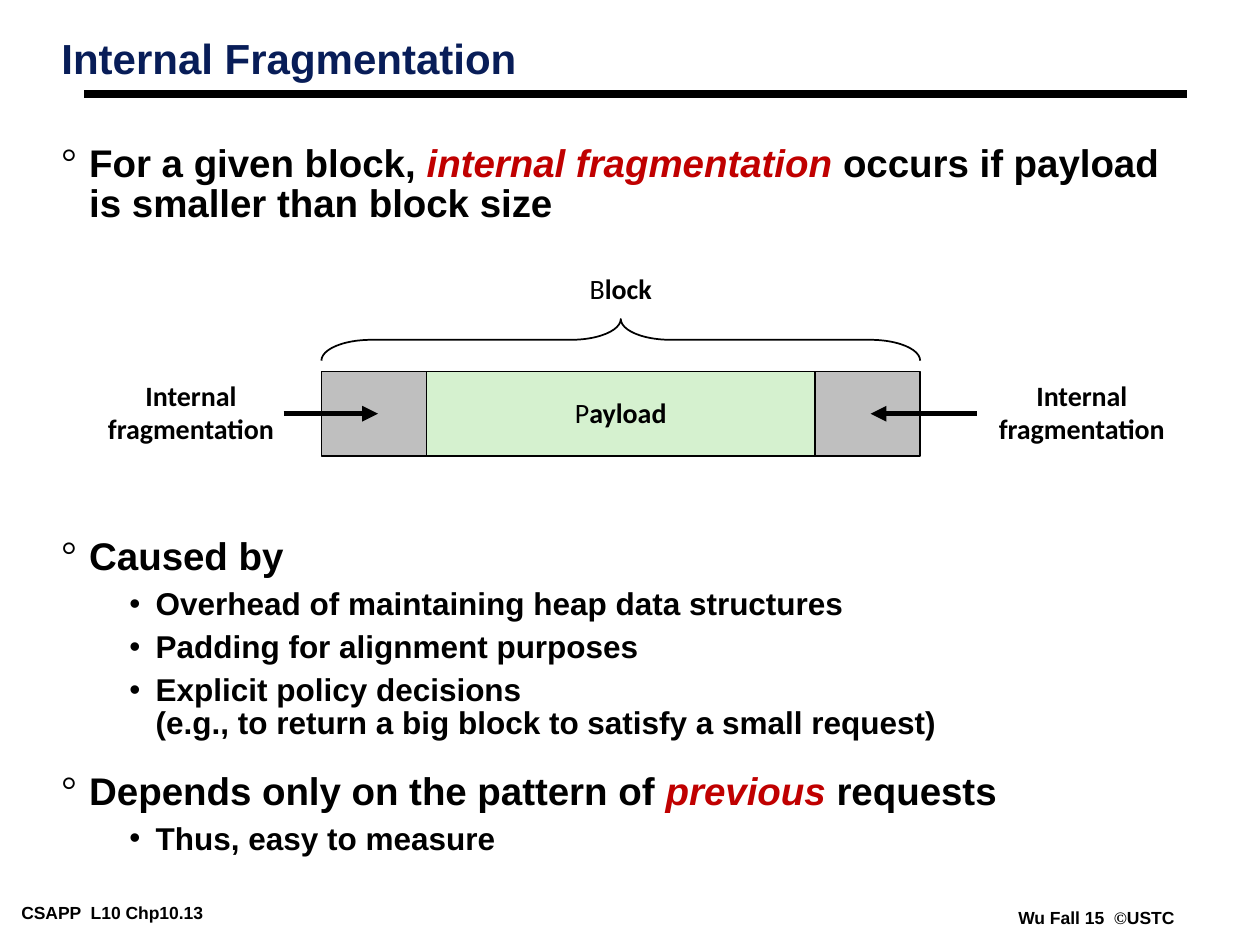
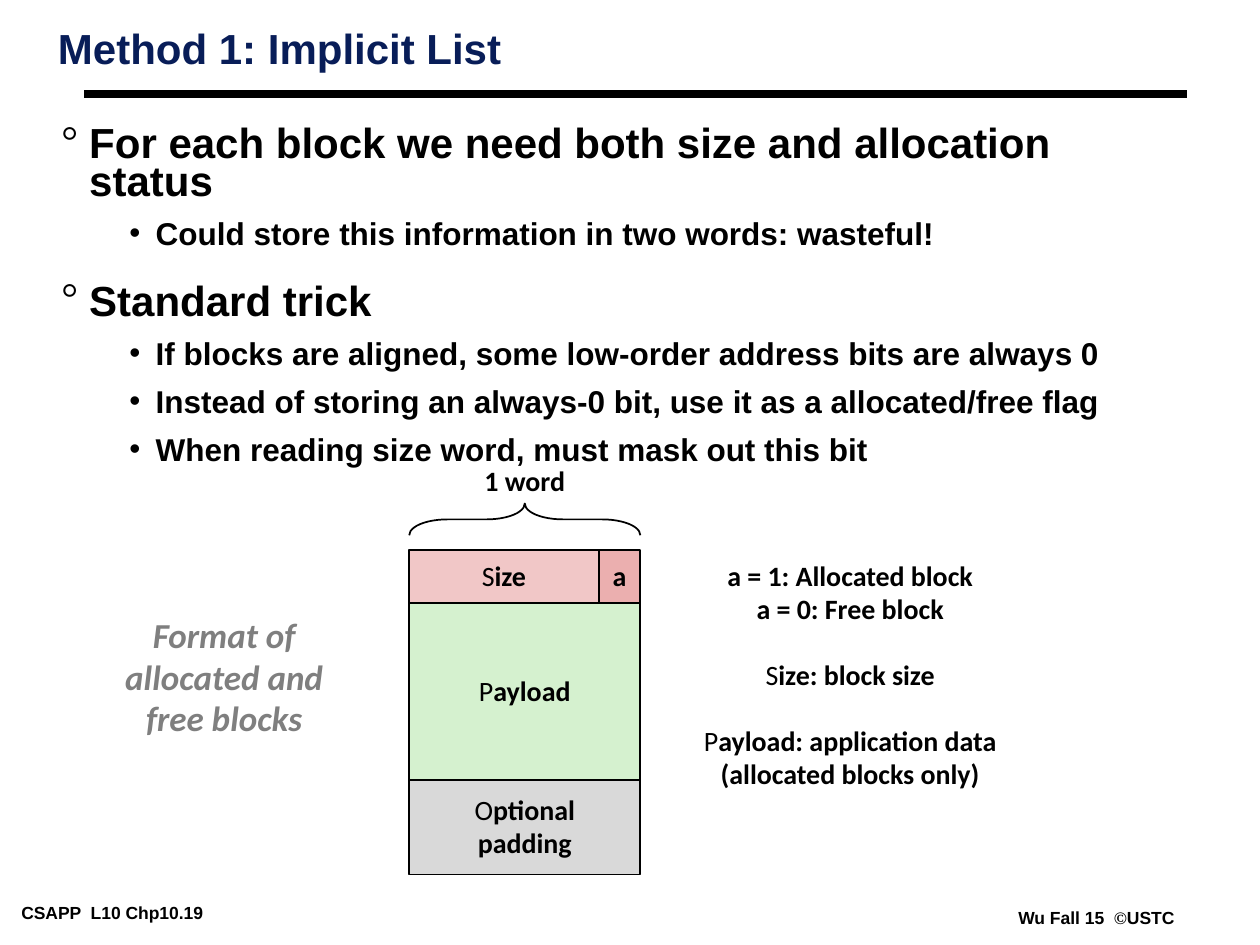
import pptx
import pptx.util
import pptx.dml.color
import pptx.enum.shapes
import pptx.enum.text
import pptx.oxml.ns
from lxml import etree

Cm, Pt = pptx.util.Cm, pptx.util.Pt
RGBColor = pptx.dml.color.RGBColor
SHAPE = pptx.enum.shapes.MSO_SHAPE
ANCHOR = pptx.enum.text.MSO_ANCHOR
ALIGN = pptx.enum.text.PP_ALIGN
qn = pptx.oxml.ns.qn

BLACK = RGBColor(0, 0, 0)
NAVY = RGBColor(0x08, 0x1D, 0x58)
RED = RGBColor(0xC0, 0, 0)
GRAY_TEXT = RGBColor(0x7F, 0x7F, 0x7F)
GREEN = RGBColor(0xD5, 0xF1, 0xCF)
GRAY = RGBColor(0xBF, 0xBF, 0xBF)
LIGHT_GRAY = RGBColor(0xD9, 0xD9, 0xD9)
PINK = RGBColor(0xF1, 0xC7, 0xC7)
ROSE = RGBColor(0xEB, 0xAF, 0xAF)

HEADING, BODY, LABEL = "Arial", "Arial", "Calibri"
SYMBOL = "Times New Roman"
BULLETS = {0: ("°", SYMBOL, 0.56, 0.56), 1: ("•", BODY, 1.9, 0.53)}


def emphasize(font):
    font.italic = True
    font.color.rgb = RED


def lighten(font):
    font.bold = False


def use_symbol_font(font):
    font.name = SYMBOL


def write(p, markup, name, size, color=BLACK, accent=None, italic=None):
    accented = []
    if "*" in markup:
        for i, part in enumerate(markup.split("*")):
            if part:
                r = p.add_run()
                r.text = part
                if i % 2:
                    accented.append(r)
    else:
        p.text = markup
    for r in p.runs:
        r.font.name = name
        r.font.size = Pt(size)
        r.font.bold = True
        r.font.italic = italic
        r.font.color.rgb = color
    for r in accented:
        accent(r.font)


def add_box(s, x, y, w, h, inset=(0.18, 0.08), wrap=True):
    tf = s.shapes.add_textbox(Cm(x), Cm(y), Cm(w), Cm(h)).text_frame
    tf.word_wrap = wrap
    tf.margin_left = tf.margin_right = Cm(inset[0])
    tf.margin_top = tf.margin_bottom = Cm(inset[1])
    return tf


def write_centered(tf, lines, size=16, color=BLACK, italic=None):
    for i, line in enumerate(lines):
        p = tf.paragraphs[0] if i == 0 else tf.add_paragraph()
        markup, gap = line if isinstance(line, tuple) else (line, 0)
        p.alignment = ALIGN.CENTER
        p.line_spacing = 0.98
        if gap:
            p.space_before = Pt(gap)
        write(p, markup, LABEL, size, color, lighten, italic)


def add_label(s, center, y, w, h, lines, **style):
    tf = add_box(s, center - w / 2, y, w, h, (0.25, 0.13), False)
    write_centered(tf, lines, **style)


def add_cell(s, x, y, w, h, fill, lines=()):
    sp = s.shapes.add_shape(SHAPE.RECTANGLE, Cm(x), Cm(y), Cm(w), Cm(h))
    sp.shadow.inherit = False
    sp.fill.solid()
    sp.fill.fore_color.rgb = fill
    sp.line.color.rgb = BLACK
    sp.line.width = Pt(1)
    tf = sp.text_frame
    tf.word_wrap = False
    tf.vertical_anchor = ANCHOR.MIDDLE
    write_centered(tf, lines)


def add_brace(s, x, y, w, h):
    left, top = x + (w - h) / 2, y - (w - h) / 2
    sp = s.shapes.add_shape(SHAPE.RIGHT_BRACE, Cm(left), Cm(top), Cm(h), Cm(w))
    sp.rotation = 270
    sp.adjustments[0] = 1.2
    sp.shadow.inherit = False
    sp.fill.background()
    sp.line.color.rgb = BLACK
    sp.line.width = Pt(1)


def add_line(s, x1, x2, y, width, arrow=False):
    c = s.shapes.add_connector(
        pptx.enum.shapes.MSO_CONNECTOR.STRAIGHT, Cm(x1), Cm(y), Cm(x2), Cm(y))
    c.line.color.rgb = BLACK
    c.line.width = Pt(width)
    spPr = c.element.spPr
    if arrow:
        etree.SubElement(spPr.find(qn("a:ln")), qn("a:tailEnd"), type="triangle")
    etree.SubElement(spPr, qn("a:effectLst"))


def add_frame(s, title, x, y, number):
    add_line(s, 1.7, 23.93, 1.9, 4.5)
    p = add_box(s, x, y, 18.5, 1.6).paragraphs[0]
    p.line_spacing = 0.87
    write(p, title, HEADING, 24, NAVY)
    footers = [(0.25, 18.1, 5.33, f"CSAPP  L10 Chp10.{number}"),
               (20.35, 18.21, 4.5, "Wu Fall 15  *©*USTC")]
    for left, top, w, text in footers:
        p = add_box(s, left, top, w, 0.56).paragraphs[0]
        write(p, text, BODY, 10, accent=use_symbol_font)


def add_bullet(p, level):
    char, typeface, margin, hang = BULLETS[level]
    pPr = p._p.get_or_add_pPr()
    pPr.set("marL", str(Cm(margin)))
    pPr.set("indent", str(-Cm(hang)))
    clr = etree.SubElement(pPr, qn("a:buClr"))
    etree.SubElement(clr, qn("a:srgbClr"), val=str(BLACK))
    etree.SubElement(pPr, qn("a:buFont"), typeface=typeface)
    etree.SubElement(pPr, qn("a:buChar"), char=char)


def add_body(s, x, y, w, h, items, sizes, spacings, gaps):
    tf = add_box(s, x, y, w, h)
    for i, (level, markup, *gap) in enumerate(items):
        p = tf.paragraphs[0] if i == 0 else tf.add_paragraph()
        add_bullet(p, level)
        p.level = level
        p.line_spacing = spacings[level]
        if i:
            p.space_before = Pt(gap[0] if gap else gaps[level])
        write(p, markup, BODY, sizes[level], accent=emphasize)


def add_block_diagram(s, x, y, w, h):
    pad = 2.12
    center = x + w / 2
    add_cell(s, x, y, pad, h, GRAY)
    add_cell(s, x + w - pad, y, pad, h, GRAY)
    add_cell(s, x + pad, y, w - 2 * pad, h, GREEN, ["*P*ayload"])
    add_brace(s, x, y - 1.06, w, 0.84)
    add_label(s, center, y - 2.11, 2.6, 0.91, ["*B*lock"])
    sides = [(x - 2.63, x - 0.76, x + 1.14),
             (x + w + 3.26, x + w + 1.14, x + w - 1)]
    for label_center, start, tip in sides:
        add_label(s, label_center, y + 0.05, 4.2, 1.57,
                  ["Internal", "fragmentation"])
        add_line(s, start, tip, y + h / 2, 3, True)


def add_format_diagram(s, x, y, w):
    flag = 0.84
    header, payload, padding = 1.07, 3.57, 1.9
    add_brace(s, x, y - 0.94, w, 0.64)
    add_label(s, x + w / 2, y - 1.85, 2.6, 0.91, ["1 word"])
    add_cell(s, x, y, w - flag, header, PINK, ["*S*ize"])
    add_cell(s, x + w - flag, y, flag, header, ROSE, ["a"])
    add_cell(s, x, y + header, w, payload, GREEN, ["*P*ayload"])
    add_cell(s, x, y + header + payload, w, padding, LIGHT_GRAY,
             ["*O*ptional", "padding"])
    add_label(s, x - 3.73, y + 1.2, 5, 2.74,
              ["Format of", "allocated and", "free blocks"],
              size=20, color=GRAY_TEXT, italic=True)
    add_label(s, x + w + 4.23, y + 0.07, 6.8, 5.56,
              ["a = 1: Allocated block", "a = 0: Free block",
               ("*S*ize: block size", 19),
               ("*P*ayload: application data", 19),
               "(allocated blocks only)"])


def add_fragmentation_slide(prs):
    s = prs.slides.add_slide(prs.slide_layouts[6])
    add_frame(s, "Internal Fragmentation", 1.06, 0.71, 13)
    items = [
        (0, "For a given block, *internal fragmentation *occurs if payload "
            "is smaller than block size"),
        (0, "Caused by", 178.5),
        (1, "Overhead of maintaining heap data structures"),
        (1, "Padding for alignment purposes"),
        (1, "Explicit policy decisions\v"
            "(e.g., to return a big block to satisfy a small request)"),
        (0, "Depends only on the pattern of *previous* requests", 18),
        (1, "Thus, easy to measure"),
    ]
    add_body(s, 1.06, 2.84, 23.09, 15, items, (22, 18), (0.88, 0.88), (5.6, 5.6))
    add_block_diagram(s, 6.48, 7.49, 12.07, 1.7)


def add_implicit_list_slide(prs):
    s = prs.slides.add_slide(prs.slide_layouts[6])
    add_frame(s, "Method 1: Implicit List", 0.99, 0.52, 19)
    items = [
        (0, "For each block we need both size and allocation status"),
        (1, "Could store this information in two words: wasteful!"),
        (0, "Standard trick"),
        (1, "If blocks are aligned, some low-order address bits are always 0"),
        (1, "Instead of storing an always-0 bit, use it as a allocated/free flag"),
        (1, "When reading size word, must mask out this bit"),
    ]
    add_body(s, 1.06, 2.51, 22.94, 7, items, (24, 18), (0.75, 0.85), (19.5, 9))
    add_format_diagram(s, 8.25, 11.09, 4.66)


def main():
    prs = pptx.Presentation()
    prs.slide_width, prs.slide_height = Cm(25.4), Cm(19.05)
    add_fragmentation_slide(prs)
    add_implicit_list_slide(prs)
    prs.save("out.pptx")


if __name__ == "__main__":
    main()
